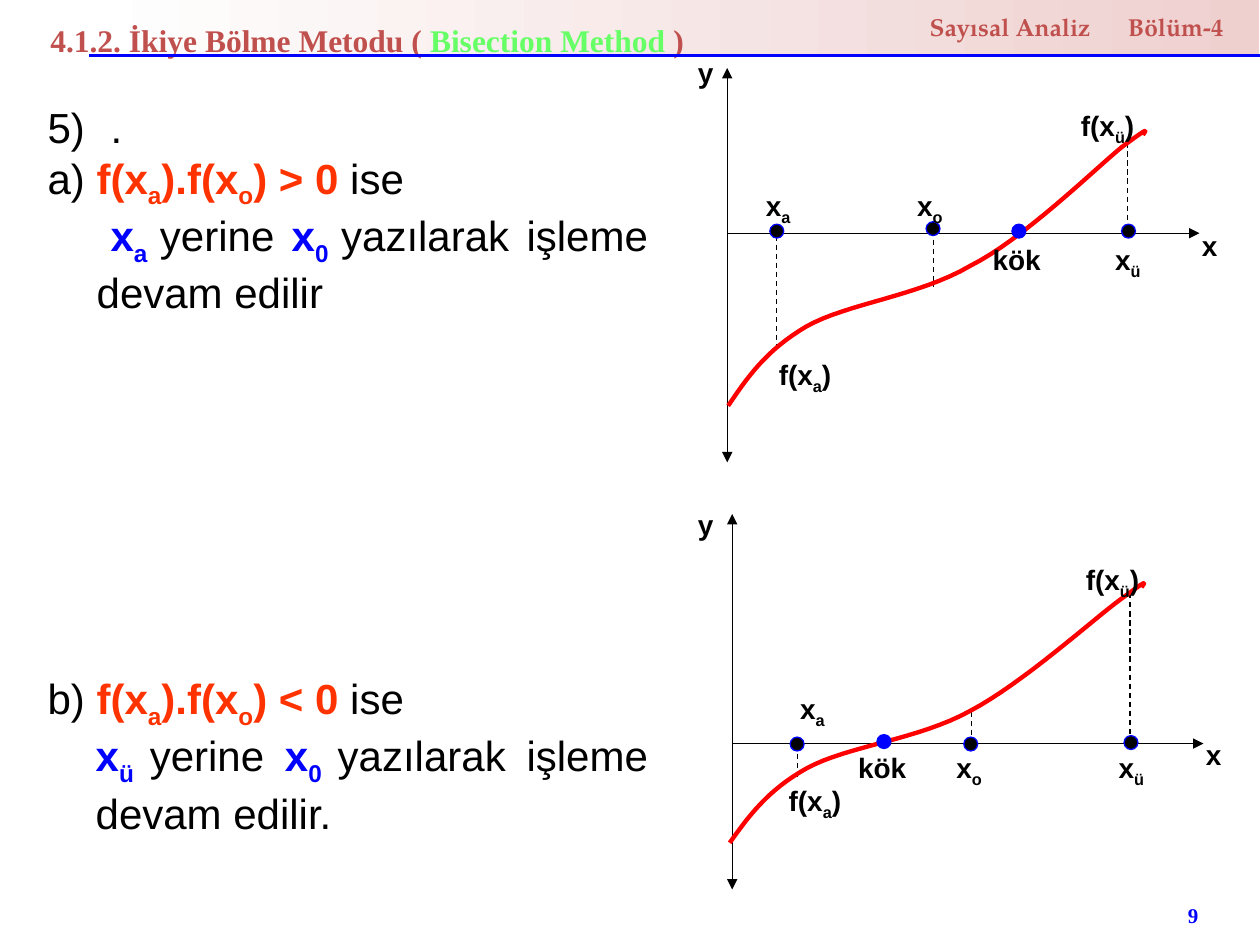
from dataclasses import dataclass
from typing import NamedTuple

import lxml.etree
import pptx
import pptx.dml.color
import pptx.enum.dml
import pptx.enum.shapes
import pptx.enum.text
import pptx.oxml.ns
import pptx.util

Cm, Pt = pptx.util.Cm, pptx.util.Pt
ALIGN = pptx.enum.text.PP_ALIGN
ANCHOR = pptx.enum.text.MSO_ANCHOR
SHAPE = pptx.enum.shapes.MSO_SHAPE
qn = pptx.oxml.ns.qn


@dataclass(frozen=True)
class Theme:
    black: str = "000000"
    white: str = "FFFFFF"
    blue: str = "0000FF"
    red: str = "FF0000"
    orange: str = "FF3300"
    green: str = "66FF66"
    brick: str = "C0504D"
    blush: str = "EED0CF"
    sans: str = "Arial"
    serif: str = "Times New Roman"
    header: str = "TeX Gyre Pagella"
    body_size: int = 24
    title_size: int = 18
    label_size: int = 16
    header_size: int = 14
    number_size: int = 12
    thin: float = 0.75
    thick: float = 2.5


T = Theme()


class Run(NamedTuple):
    text: str
    color: str = T.black
    bold: bool = True
    sub: bool = False


class Label(NamedTuple):
    x: float
    y: float
    w: float
    base: str
    sub: str = ""
    end: str = ""


class Dot(NamedTuple):
    x: float
    y: float
    color: str = T.black


class Dash(NamedTuple):
    x: float
    top: float
    bottom: float


@dataclass(frozen=True)
class Graph:
    x_axis: tuple[float, float, float]
    y_axis: Dash
    dashes: list[Dash]
    curve: list[tuple[float, float]]
    dots: list[Dot]
    labels: list[Label]


GRAPHS = [
    Graph(
        x_axis=(14.66, 24.18, 4.7),
        y_axis=Dash(14.66, 1.37, 9.32),
        dashes=[Dash(15.65, 4.75, 6.99), Dash(22.73, 2.87, 4.72), Dash(18.82, 4.65, 5.79)],
        curve=[(14.68, 8.18), (15.06, 7.62), (15.44, 7.06), (16.26, 6.58), (17.07, 6.12),
               (18.52, 5.97), (19.56, 5.36), (20.62, 4.83), (22.05, 3.43), (22.61, 2.97),
               (23.19, 2.54), (23.11, 2.62), (23.04, 2.72)],
        dots=[Dot(20.54, 4.66, T.blue), Dot(18.81, 4.61), Dot(15.66, 4.66), Dot(22.75, 4.66)],
        labels=[Label(14.02, 1.12, 0.89, "y"), Label(24.18, 4.6, 0.89, "x"),
                Label(15.39, 3.81, 1.32, "x", "a"), Label(18.44, 3.81, 1.24, "x", "o"),
                Label(22.43, 4.88, 1.24, "x", "ü"), Label(19.96, 4.88, 1.9, "kök"),
                Label(15.65, 7.21, 1.22, "f(x", "a", ")"),
                Label(21.74, 2.18, 1.22, "f(x", "ü", ")")],
    ),
    Graph(
        x_axis=(14.76, 24.26, 14.99),
        y_axis=Dash(14.76, 10.36, 17.93),
        dashes=[Dash(16.08, 15.01, 15.67), Dash(22.78, 11.96, 14.94), Dash(19.58, 14.35, 14.99)],
        curve=[(14.71, 16.99), (15.09, 16.46), (15.47, 15.93), (16.26, 15.49), (17.07, 15.04),
               (18.52, 14.91), (19.56, 14.33), (20.62, 13.77), (22.02, 12.5), (22.58, 12.09),
               (23.16, 11.66), (23.09, 11.73), (23.01, 11.84)],
        dots=[Dot(17.82, 14.95, T.blue), Dot(19.57, 15), Dot(16.07, 15), Dot(22.8, 14.97)],
        labels=[Label(14.02, 10.24, 0.89, "y"), Label(24.26, 14.86, 0.89, "x"),
                Label(16.08, 13.94, 1.32, "x", "a"), Label(19.23, 15.14, 1.24, "x", "o"),
                Label(22.5, 15.14, 1.24, "x", "ü"), Label(17.25, 15.14, 1.9, "kök"),
                Label(15.85, 15.8, 1.22, "f(x", "a", ")"),
                Label(21.84, 11.35, 1.22, "f(x", "ü", ")")],
    ),
]


def rgb(color: str):
    return pptx.dml.color.RGBColor.from_string(color)


def apply(target, formats: dict) -> None:
    for name, value in formats.items():
        setattr(target, name, value)


def write(p, runs: list[Run], font: str, size: int, **formats) -> None:
    apply(p, formats)
    for item in runs:
        r = p.add_run()
        r.text = item.text
        apply(r.font, {"name": font, "size": Pt(size), "bold": item.bold})
        r.font.color.rgb = rgb(item.color)
        if item.sub:
            r.font._element.set("baseline", "-25000") if hasattr(r.font, "_element") \
                else r._r.get_or_add_rPr().set("baseline", "-25000")


def add_text(shapes, x: float, y: float, w: float, h: float, **formats):
    sp = shapes.add_textbox(Cm(x), Cm(y), Cm(w), Cm(h))
    apply(sp.text_frame, {"word_wrap": True, **formats})
    return sp.text_frame


def add_line(shapes, start: tuple, end: tuple, color: str = T.black, width: float = T.thin,
             dashed: bool = False, arrows: tuple = ()) -> None:
    c = shapes.add_connector(pptx.enum.shapes.MSO_CONNECTOR.STRAIGHT,
                             *(Cm(v) for v in (*start, *end)))
    c.line.color.rgb = rgb(color)
    c.line.width = Pt(width)
    if dashed:
        c.line.dash_style = pptx.enum.dml.MSO_LINE.DASH
    spPr = c._element.spPr
    for arrow in arrows:
        lxml.etree.SubElement(spPr.find(qn("a:ln")), qn(f"a:{arrow}"), type="triangle")
    lxml.etree.SubElement(spPr, qn("a:effectLst"))


def bezier(knots: list[tuple[float, float]], steps: int = 16) -> list[tuple[int, int]]:
    points = [knots[0]]
    for i in range(0, len(knots) - 1, 3):
        for t in (k / steps for k in range(1, steps + 1)):
            weights = ((1 - t) ** 3, 3 * t * (1 - t) ** 2, 3 * t * t * (1 - t), t ** 3)
            points.append(tuple(sum(w * knot[axis] for w, knot in zip(weights, knots[i:i + 4]))
                                for axis in (0, 1)))
    return [(Cm(x), Cm(y)) for x, y in points]


def add_graph(s, graph: Graph, dot_size: float = 0.28) -> None:
    shapes = s.shapes.add_group_shape().shapes
    left, right, y = graph.x_axis
    add_line(shapes, (left, y), (right, y), arrows=("tailEnd",))
    axis = graph.y_axis
    add_line(shapes, (axis.x, axis.top), (axis.x, axis.bottom), arrows=("headEnd", "tailEnd"))
    for d in graph.dashes:
        add_line(shapes, (d.x, d.top), (d.x, d.bottom), dashed=True)
    start, *rest = bezier(graph.curve)
    builder = shapes.build_freeform(*start)
    builder.add_line_segments(rest, close=False)
    sp = builder.convert_to_shape()
    sp.shadow.inherit = False
    sp.fill.background()
    sp.line.color.rgb = rgb(T.red)
    sp.line.width = Pt(T.thick)
    for dot in graph.dots:
        sp = shapes.add_shape(SHAPE.OVAL, Cm(dot.x - dot_size / 2), Cm(dot.y - dot_size / 2),
                              Cm(dot_size), Cm(dot_size))
        sp.shadow.inherit = False
        sp.fill.solid()
        sp.fill.fore_color.rgb = rgb(dot.color)
        sp.line.color.rgb = rgb(T.blue)
        sp.line.width = Pt(T.thin)
    for label in graph.labels:
        tf = add_text(shapes, label.x, label.y, label.w, 0.69, margin_left=Cm(0.05),
                      margin_right=Cm(0.05), margin_top=0, margin_bottom=0)
        runs = [Run(label.base), Run(label.sub, sub=True), Run(label.end)]
        write(tf.paragraphs[0], [r for r in runs if r.text], T.sans, T.label_size)


def add_header(s) -> None:
    sp = s.shapes.add_shape(SHAPE.RECTANGLE, Cm(1.68), 0, Cm(23.7), Cm(1.12))
    sp.shadow.inherit = False
    sp.line.fill.background()
    sp.fill.gradient()
    sp.fill.gradient_angle = 0
    for stop, position, color in zip(sp.fill.gradient_stops, (0, 1), (T.white, T.blush)):
        stop.position = position
        stop.color.rgb = rgb(color)
    s.shapes._spTree.insert(2, sp._element)
    add_line(s.shapes, (1.8, 1.12), (25.4, 1.12), T.blue, 2)
    p = add_text(s.shapes, 18.49, 0.23, 6.6, 0.74).paragraphs[0]
    tabs = lxml.etree.SubElement(p._p.get_or_add_pPr(), qn("a:tabLst"))
    lxml.etree.SubElement(tabs, qn("a:tab"), pos=str(Cm(4)), algn="l")
    write(p, [Run("Sayısal Analiz\tBölüm-4", T.brick)], T.header, T.header_size, line_spacing=0.8)


def add_title(s) -> None:
    sp = s.shapes.title
    apply(sp, {"left": Cm(0.76), "top": Cm(-0.08), "width": Cm(13.74), "height": Cm(1.42)})
    apply(sp.text_frame, {"word_wrap": True, "vertical_anchor": ANCHOR.TOP,
                          "auto_size": pptx.enum.text.MSO_AUTO_SIZE.NONE})
    runs = [Run("4.1.2. İkiye Bölme Metodu ( ", T.brick), Run("Bisection Method ", T.green),
            Run(")", T.brick)]
    write(sp.text_frame.paragraphs[0], runs, T.serif, T.title_size,
          alignment=ALIGN.JUSTIFY, line_spacing=1.5)


def condition(letter: str, sign: str) -> list[Run]:
    return [Run(f"{letter}) ", bold=False), Run("f(x", T.orange), Run("a", T.orange, sub=True),
            Run(").f(x", T.orange), Run("o", T.orange, sub=True),
            Run(f") {sign} 0 ", T.orange), Run("ise", bold=False)]


def replacement(index: str, end: str = "") -> list[Run]:
    return [Run("x", T.blue), Run(f"{index} ", T.blue, sub=True), Run("yerine ", bold=False),
            Run("x", T.blue), Run("0 ", T.blue, sub=True),
            Run(f"yazılarak işleme devam edilir{end}", bold=False)]


def add_steps(s) -> None:
    tf = add_text(s.shapes, 0.71, 1.93, 12.6, 14.63)
    steps = [([Run(".", bold=False)], 1.27, -1.27, 0), (condition("a", ">"), 0, 0, 0),
             (replacement("a"), 0.99, 0.28, 0), (condition("b", "<"), 0, 0, 203),
             (replacement("ü", "."), 0.97, 0, 0)]
    for i, (runs, margin, indent, gap) in enumerate(steps):
        p = tf.add_paragraph() if i else tf.paragraphs[0]
        pPr = p._p.get_or_add_pPr()
        pPr.set("marL", str(Cm(margin)))
        pPr.set("indent", str(Cm(indent)))
        if i == 0:
            lxml.etree.SubElement(pPr, qn("a:buAutoNum"), type="arabicParenR", startAt="5")
        write(p, runs, T.sans, T.body_size, alignment=ALIGN.JUSTIFY, space_before=Pt(gap))


def main() -> None:
    prs = pptx.Presentation()
    apply(prs, {"slide_width": Cm(25.4), "slide_height": Cm(19.05)})
    s = prs.slides.add_slide(prs.slide_layouts[5])
    add_header(s)
    add_title(s)
    add_steps(s)
    for graph in GRAPHS:
        add_graph(s, graph)
    tf = add_text(s.shapes, 18.49, 17.93, 5.92, 1.02, vertical_anchor=ANCHOR.MIDDLE)
    write(tf.paragraphs[0], [Run("9", T.blue)], T.serif, T.number_size, alignment=ALIGN.RIGHT)
    prs.save("out.pptx")


if __name__ == "__main__":
    main()
